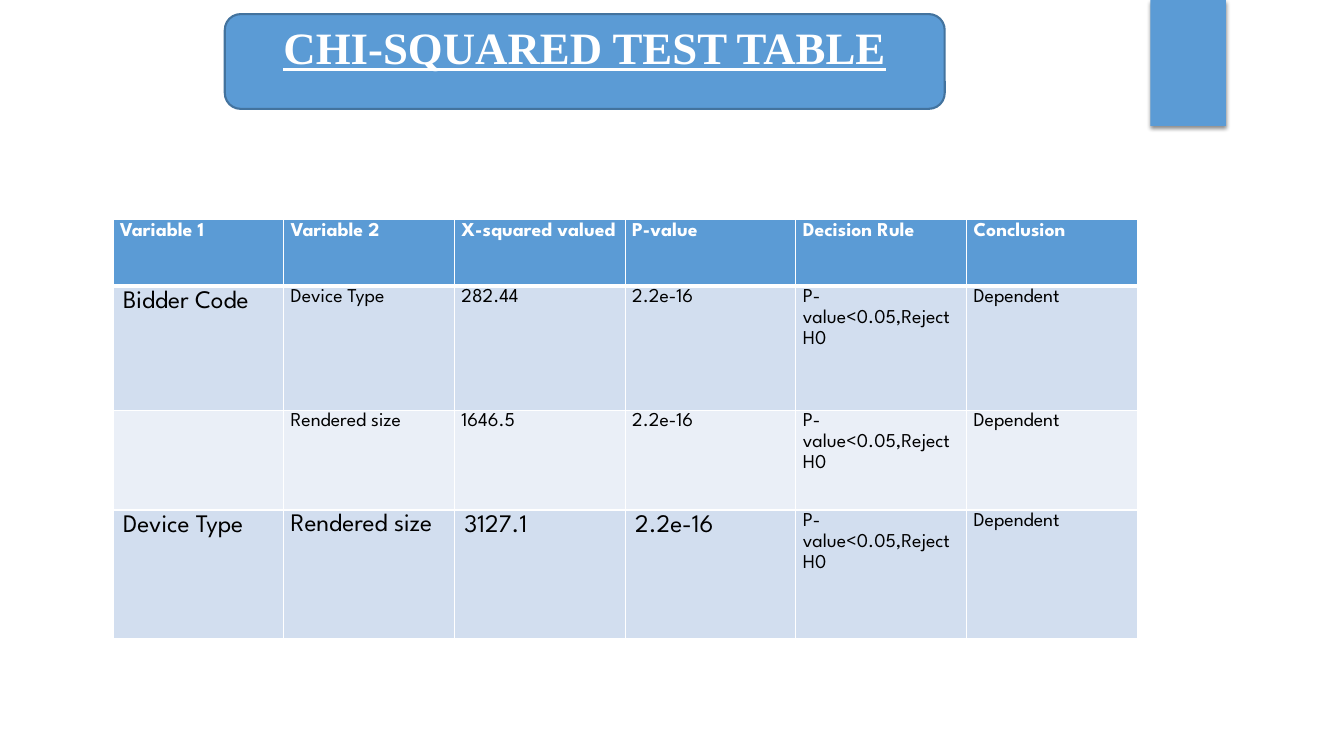
from dataclasses import dataclass

from lxml.etree import SubElement
from pptx import Presentation
from pptx.dml.color import RGBColor
from pptx.enum.shapes import MSO_SHAPE as Shape
from pptx.enum.text import MSO_ANCHOR as Anchor, PP_ALIGN as Align
from pptx.oxml import parse_xml
from pptx.oxml.ns import nsdecls, qn
from pptx.util import Inches, Pt

TITLE = "CHI-SQUARED TEST TABLE"
DECISION = "P-value<0.05,Reject H0"
ROWS = [
    ("Variable 1", "Variable 2", "X-squared valued", "P-value", "Decision Rule", "Conclusion"),
    ("Bidder Code", "Device Type", "282.44", "2.2e-16", DECISION, "Dependent"),
    ("", "Rendered size", "1646.5", "2.2e-16", DECISION, "Dependent"),
    ("Device Type", "Rendered size", "3127.1", "2.2e-16", DECISION, "Dependent"),
]
ROW_HEIGHTS = (0.66, 1.23, 0.99, 1.28)
LARGE_CELLS = {(1, 0), (3, 0), (3, 1), (3, 2), (3, 3)}
ROOMY_CELLS = LARGE_CELLS - {(3, 1)}  # default margins and single line spacing

SLIDE_SIZE = (13.33, 7.5)
TAB_BOX = (11.41, 0, 0.75, 1.25)
TITLE_BOX = (2.23, 0.14, 7.14, 0.94)
TABLE_BOX = (1.12, 2.18, 10.16, sum(ROW_HEIGHTS))
TITLE_LIFT = 0.34  # bottom inset that raises the title above the middle


@dataclass(frozen=True)
class Theme:
    accent: str = "5B9BD5"
    outline: str = "43739E"
    bands: tuple = ("D2DEEF", "EAEFF7")
    light: str = "FFFFFF"
    dark: str = "000000"
    title_font: str = "Times New Roman"
    table_font: str = "League Spartan"
    title_size: int = 32
    large_size: int = 18
    small_size: int = 14


THEME = Theme()


def rgb(value):
    return RGBColor.from_string(value)


def style_font(paragraph, name, size, color, bold):
    for run in paragraph.runs:
        font = run.font
        font.name, font.size, font.bold = name, Pt(size), bold
        font.color.rgb = rgb(color)


def add_block(slide, kind, box):
    shape = slide.shapes.add_shape(kind, *map(Inches, box))
    shape.shadow.inherit = False
    shape.fill.solid()
    shape.fill.fore_color.rgb = rgb(THEME.accent)
    return shape


def add_corner_tab(slide):
    tab = add_block(slide, Shape.RECTANGLE, TAB_BOX)
    tab.line.fill.background()
    effects = tab.element.spPr.find(qn("a:effectLst"))
    shadow = SubElement(effects, qn("a:outerShdw"), blurRad=str(Pt(3)),
                        dist=str(Pt(2)), dir="5400000", rotWithShape="0")
    color = SubElement(shadow, qn("a:srgbClr"), val=THEME.dark)
    SubElement(color, qn("a:alpha"), val="45000")


def add_title(slide):
    banner = add_block(slide, Shape.ROUNDED_RECTANGLE, TITLE_BOX)
    banner.line.color.rgb = rgb(THEME.outline)
    banner.line.width = Pt(1.5)
    frame = banner.text_frame
    frame.text = TITLE
    frame.word_wrap = True
    frame.vertical_anchor = Anchor.MIDDLE
    frame.margin_bottom = Inches(TITLE_LIFT)
    paragraph = frame.paragraphs[0]
    paragraph.alignment = Align.CENTER
    style_font(paragraph, THEME.title_font, THEME.title_size, THEME.light, True)
    paragraph.runs[0].font.underline = True


def set_borders(cell, top, bottom):
    """Give the cell light borders; top and bottom are widths in points."""
    properties = cell._tc.get_or_add_tcPr()
    widths = {"lnL": 1, "lnR": 1, "lnT": top, "lnB": bottom}
    for index, (side, width) in enumerate(widths.items()):
        properties.insert(index, parse_xml(
            f'<a:{side} {nsdecls("a")} w="{Pt(width)}"><a:solidFill>'
            f'<a:srgbClr val="{THEME.light}"/></a:solidFill></a:{side}>'))


def fill_cell(cell, row, column):
    header = row == 0
    cell.text = ROWS[row][column]
    paragraph = cell.text_frame.paragraphs[0]
    if (row, column) not in ROOMY_CELLS:
        cell.margin_left = cell.margin_right = Inches(0.07)
        cell.margin_top = cell.margin_bottom = 0
        paragraph.line_spacing = 1.15
    size = THEME.large_size if (row, column) in LARGE_CELLS else THEME.small_size
    style_font(paragraph, THEME.table_font, size,
               THEME.light if header else THEME.dark, header)
    cell.fill.solid()
    cell.fill.fore_color.rgb = rgb(THEME.accent if header else THEME.bands[(row - 1) % 2])
    set_borders(cell, top=3 if row == 1 else 1, bottom=3 if header else 1)


def add_results(slide):
    table = slide.shapes.add_table(len(ROWS), len(ROWS[0]), *map(Inches, TABLE_BOX)).table
    for row, height in enumerate(ROW_HEIGHTS):
        table.rows[row].height = Inches(height)
        for column in range(len(ROWS[0])):
            fill_cell(table.cell(row, column), row, column)


def main():
    presentation = Presentation()
    presentation.slide_width, presentation.slide_height = map(Inches, SLIDE_SIZE)
    slide = presentation.slides.add_slide(presentation.slide_layouts[6])
    add_corner_tab(slide)
    add_title(slide)
    add_results(slide)
    presentation.save("out.pptx")


if __name__ == "__main__":
    main()
